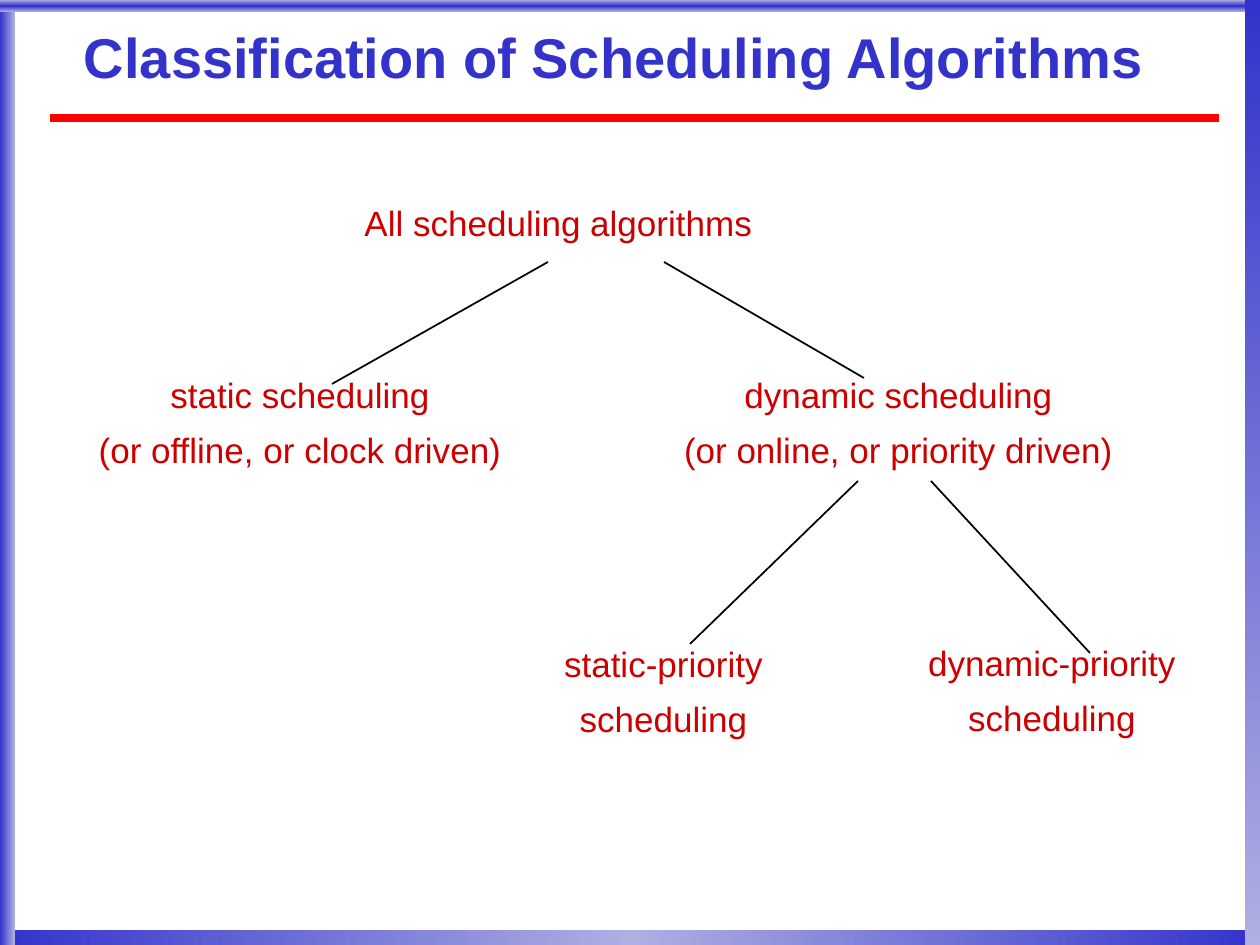
from lxml import etree
from pptx import Presentation
from pptx.dml.color import RGBColor
from pptx.enum import shapes, text
from pptx.oxml import ns
from pptx.util import Emu, Pt

SCALE = 914400 // 126
WIDTH, HEIGHT = 1260, 945
FONT = "Arial"
COLORS = {"blue": "3333CC", "pale": "AFAFE2", "red": "FF0000",
          "label": "CC0000", "line": "000000", "shadow": "B2B2B2"}

TITLE = ("Classification of Scheduling Algorithms", (84, 10, 1103, 101))
# box, gradient colours, clockwise angle
BORDERS = [
    ((0, 930, WIDTH, 16), ("blue", "pale", "blue"), 0),
    ((0, 0, 15, HEIGHT), ("blue", "pale"), 0),
    ((0, 0, WIDTH, 12), ("pale", "blue", "pale"), 90),
    ((1245, 0, 15, HEIGHT), ("blue", "pale"), 90),
]
RULE = ((50, 118), (1219, 118))
LABELS = [
    (["All scheduling algorithms"], (352, 202, 462, 63)),
    (["static scheduling", "(or offline, or clock driven)"], (57, 374, 486, 113)),
    (["dynamic scheduling", "(or online, or priority driven)"], (641, 374, 515, 113)),
    (["static-priority", "scheduling"], (536, 643, 255, 113)),
    (["dynamic-priority", "scheduling"], (897, 642, 310, 113)),
]
BRANCHES = [
    ((548, 262), (332, 384)),
    ((664, 262), (864, 378)),
    ((858, 481), (690, 644)),
    ((931, 481), (1090, 653)),
]


def px(values):
    """Turn pixels into EMU."""
    return [Emu(value * SCALE) for value in values]


def rgb(name):
    """Look up a named colour."""
    return RGBColor.from_string(COLORS[name])


def style(paragraph, size, color, bold=False):
    """Format every run of a paragraph."""
    for span in paragraph.runs:
        span.font.name, span.font.size, span.font.bold = FONT, Pt(size), bold
        span.font.color.rgb = rgb(color)


def add_border(page, box, colors, angle):
    """Draw one gradient bar at the edge of the page."""
    bar = page.shapes.add_shape(shapes.MSO_SHAPE.RECTANGLE, *px(box))
    bar.shadow.inherit = False
    bar.line.fill.background()
    bar.fill.gradient()
    bar.fill.gradient_angle = -angle % 360
    stops = bar.fill._fill._gradFill.find(ns.qn("a:gsLst"))
    for stop in list(stops):
        stops.remove(stop)
    for index, name in enumerate(colors):
        position = 100000 * index // (len(colors) - 1)
        stop = etree.SubElement(stops, ns.qn("a:gs"), pos=str(position))
        etree.SubElement(stop, ns.qn("a:srgbClr"), val=COLORS[name])


def add_line(page, start, end, color, width):
    """Draw a straight line without a shadow."""
    line = page.shapes.add_connector(
        shapes.MSO_CONNECTOR.STRAIGHT, *px(start + end))
    line.line.color.rgb = rgb(color)
    line.line.width = Pt(width)
    etree.SubElement(line._element.spPr, ns.qn("a:effectLst"))


def add_title(page, words, box):
    """Fill the title placeholder and give its text a drop shadow."""
    title = page.shapes.title
    title.left, title.top, title.width, title.height = px(box)
    frame = title.text_frame
    frame.text = words
    frame.word_wrap = True
    frame.auto_size = text.MSO_AUTO_SIZE.NONE
    frame.vertical_anchor = text.MSO_ANCHOR.MIDDLE
    frame.margin_left = frame.margin_right = 0
    frame.margin_top = frame.margin_bottom = 0
    paragraph = frame.paragraphs[0]
    paragraph.alignment = text.PP_ALIGN.LEFT
    paragraph.line_spacing = 0.87
    style(paragraph, 32, "blue", bold=True)
    effects = etree.Element(ns.qn("a:effectLst"))
    shadow = etree.SubElement(effects, ns.qn("a:outerShdw"),
                              dist="35921", dir="2700000")
    etree.SubElement(shadow, ns.qn("a:srgbClr"), val=COLORS["shadow"])
    fill = paragraph.runs[0].font._element.find(ns.qn("a:solidFill"))
    fill.addnext(effects)


def add_label(page, lines, box):
    """Write one node of the tree."""
    frame = page.shapes.add_textbox(*px(box)).text_frame
    frame.text = "\n".join(lines)
    frame.word_wrap = False
    for index, paragraph in enumerate(frame.paragraphs):
        paragraph.alignment = (text.PP_ALIGN.CENTER if len(lines) > 1
                               else text.PP_ALIGN.LEFT)
        paragraph.line_spacing = 0.85
        paragraph.space_before = Pt(11 if index else 2)
        style(paragraph, 20, "label")


deck = Presentation()
deck.slide_width, deck.slide_height = px((WIDTH, HEIGHT))
page = deck.slides.add_slide(deck.slide_layouts[5])
for border in BORDERS:
    add_border(page, *border)
add_line(page, *RULE, "red", 4.5)
add_title(page, *TITLE)
for label in LABELS:
    add_label(page, *label)
for branch in BRANCHES:
    add_line(page, *branch, "line", 1)
deck.save("out.pptx")
